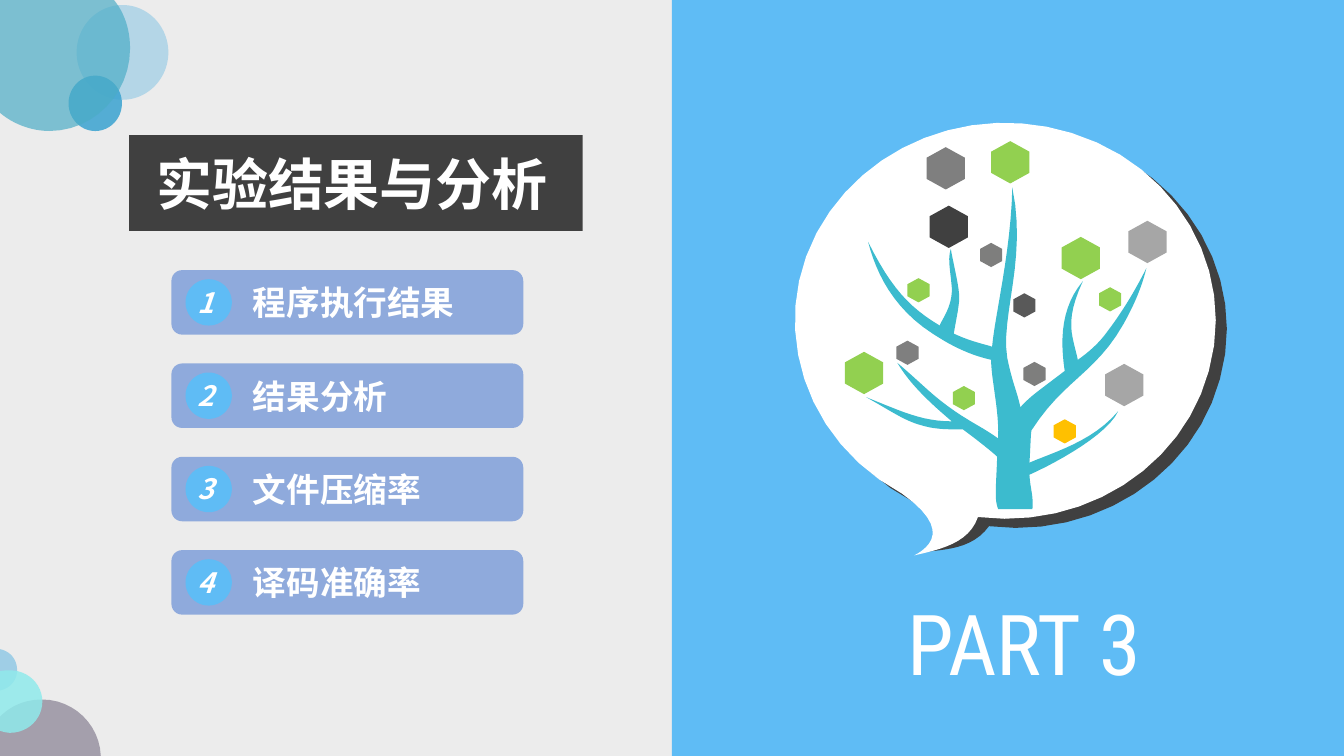
import lxml.etree
import pptx
import pptx.dml.color
import pptx.enum.shapes
import pptx.enum.text
import pptx.oxml.ns
import pptx.util

COLS, ROWS = 13.33, 7.5
WIDTH, HEIGHT = pptx.util.Inches(COLS), pptx.util.Inches(ROWS)
SHAPE = pptx.enum.shapes.MSO_SHAPE
ALIGN = pptx.enum.text.PP_ALIGN
CJK, LATIN = "Noto Sans CJK SC", "Roboto Condensed"
WHITE, DARK, SKY, GREEN, GREY = "FFFFFF", "404040", "5FBCF5", "92D050", "7F7F7F"
CURVE_STEPS = 12

TITLE = {"size": 40, "name": CJK, "bold": True}
PART = {"size": 60, "name": LATIN}
NUMBER = {"size": 20, "name": CJK, "bold": True, "italic": True}
LABEL = {"size": 24, "name": CJK, "bold": True}

TOPICS = ["程序执行结果", "结果分析", "文件压缩率", "译码准确率"]
TOPIC_TOP, TOPIC_PITCH = 2.68, 0.926

TOP_CIRCLE = [(0, 0), (1.13, 0), (1.23, 0.12, 1.29, 0.29, 1.29, 0.48),
              (1.29, 0.93, 0.93, 1.3, 0.49, 1.3), (0.31, 1.3, 0.13, 1.23, 0, 1.12)]
SMALL_CIRCLE = [(0, 6.44), (0.1, 6.46, 0.17, 6.54, 0.17, 6.65),
                (0.17, 6.75, 0.1, 6.83, 0, 6.85)]
PLUM_CIRCLE = [(0.42, 6.94), (0.73, 6.94, 0.99, 7.19, 1, 7.5), (0, 7.5), (0, 7.11),
               (0.11, 7, 0.25, 6.94, 0.42, 6.94)]
MINT_CIRCLE = [(0.1, 6.65), (0.28, 6.65, 0.42, 6.79, 0.42, 6.96),
               (0.42, 7.13, 0.28, 7.27, 0.1, 7.27), (0.07, 7.27, 0.03, 7.26, 0, 7.25),
               (0, 6.66), (0.03, 6.65, 0.07, 6.65, 0.1, 6.65)]
BUBBLE_SHADE = [(9.13, 5.48), (9.27, 5.41, 9.55, 5.34, 9.06, 4.98),
                (8.09, 4.47, 7.72, 3.33, 8.21, 2.39), (8.68, 1.52, 9.75, 1.1, 10.74, 1.4),
                (11.78, 1.73, 12.38, 2.76, 12.1, 3.76), (11.84, 4.72, 10.86, 5.35, 9.81, 5.22),
                (9.64, 5.45, 9.38, 5.45, 9.13, 5.48)]
BUBBLE = [(9.07, 5.51), (9.22, 5.43, 9.44, 5.25, 8.95, 4.9),
          (7.98, 4.38, 7.61, 3.24, 8.1, 2.31), (8.57, 1.43, 9.64, 1.01, 10.63, 1.32),
          (11.67, 1.64, 12.27, 2.67, 11.99, 3.68), (11.73, 4.64, 10.75, 5.26, 9.7, 5.13),
          (9.61, 5.39, 9.33, 5.45, 9.07, 5.51)]
TREE = [(10.24, 5.05), (9.9, 5.05), (9.86, 4.95, 9.88, 4.84, 9.89, 4.53),
        (9.79, 4.44, 9.67, 4.35, 9.55, 4.26), (9.41, 4.26, 9.33, 4.26, 9.22, 4.24),
        (8.99, 4.19, 8.91, 4.12, 8.59, 3.94), (8.94, 4.08, 9.14, 4.18, 9.44, 4.18),
        (9.24, 4.01, 9.03, 3.82, 8.9, 3.6), (9.21, 3.86, 9.29, 3.99, 9.73, 4.24),
        (9.78, 4.27, 9.83, 4.3, 9.9, 4.35), (9.9, 4.34), (9.91, 4.07, 9.83, 3.76, 9.83, 3.57),
        (9.57, 3.51, 9.39, 3.4, 9.25, 3.31), (8.86, 3.06, 8.69, 2.71, 8.61, 2.4),
        (8.84, 2.86, 9.02, 3.05, 9.32, 3.23), (9.34, 3.17, 9.45, 3.04, 9.44, 2.85),
        (9.42, 2.64, 9.4, 2.57, 9.43, 2.47), (9.47, 2.69, 9.53, 2.9, 9.51, 3.01),
        (9.5, 3.1, 9.49, 3.13, 9.46, 3.31), (9.63, 3.39, 9.75, 3.41, 9.84, 3.44),
        (9.86, 3.17, 10.03, 2.48, 10.04, 1.86), (10.19, 2.57, 9.92, 3.14, 9.99, 3.55),
        (10.04, 3.8, 10.09, 3.89, 10.12, 4.04), (10.23, 3.92, 10.3, 3.88, 10.56, 3.68),
        (10.51, 3.35, 10.53, 3.04, 10.74, 2.79), (10.55, 3.2, 10.64, 3.33, 10.69, 3.57),
        (10.83, 3.47, 10.91, 3.39, 10.99, 3.28), (11.08, 3.16, 11.22, 2.96, 11.37, 2.66),
        (11.32, 2.87, 11.23, 3.06, 11.14, 3.22), (10.86, 3.71, 10.55, 3.77, 10.23, 4.27),
        (10.22, 4.34, 10.22, 4.46, 10.21, 4.59), (10.44, 4.49, 10.84, 4.38, 11.09, 4.08),
        (10.99, 4.3, 10.52, 4.57, 10.21, 4.71), (10.22, 4.86, 10.25, 4.91, 10.24, 5.05)]

BIG_LEAF, SMALL_LEAF = (0.19, 0.21), (0.11, 0.12)
LEAVES = {
    BIG_LEAF: [(10.02, 1.61, GREEN), (11.38, 2.4, "A6A6A6"), (11.15, 3.82, "A6A6A6"),
               (9.41, 2.25, DARK), (8.57, 3.7, GREEN), (9.38, 1.67, GREY),
               (10.72, 2.56, GREEN)],
    SMALL_LEAF: [(10.56, 4.28, "FFC000"), (9.11, 2.88, GREEN), (9.83, 2.53, "7E7E7D"),
                 (10.26, 3.71, "7E7E7D"), (9, 3.5, GREY), (11.01, 2.97, GREEN),
                 (9.56, 3.95, GREEN), (10.16, 3.03, "595959")],
}


def col(n):
    return round(WIDTH * n / COLS)


def row(n):
    return round(HEIGHT * n / ROWS)


def rgb(value):
    return pptx.dml.color.RGBColor.from_string(value)


def paint(sp, colour, opacity=100):
    sp.shadow.inherit = False
    sp.fill.solid()
    sp.fill.fore_color.rgb = rgb(colour)
    sp.line.fill.background()
    if opacity < 100:
        qn = pptx.oxml.ns.qn
        clr = next(sp._element.spPr.iter(qn("a:srgbClr")))
        lxml.etree.SubElement(clr, qn("a:alpha")).set("val", str(opacity * 1000))


def add_preset(s, kind, x, y, w, h, colour, opacity=100):
    sp = s.shapes.add_shape(kind, col(x), row(y), col(w), row(h))
    paint(sp, colour, opacity)


def curve_points(start, segment):
    x1, y1, x2, y2, x3, y3 = segment
    for i in range(1, CURVE_STEPS + 1):
        t = i / CURVE_STEPS
        u = 1 - t
        weights = (u ** 3, 3 * u * u * t, 3 * u * t * t, t ** 3)
        yield (sum(w * x for w, x in zip(weights, (start[0], x1, x2, x3))),
               sum(w * y for w, y in zip(weights, (start[1], y1, y2, y3))))


def add_outline(s, segments, colour, opacity=100):
    points = [segments[0]]
    for segment in segments[1:]:
        points.extend([segment] if len(segment) == 2 else curve_points(points[-1], segment))
    points = [(col(x), row(y)) for x, y in points]
    builder = s.shapes.build_freeform(*points[0])
    builder.add_line_segments(points[1:], close=True)
    paint(builder.convert_to_shape(), colour, opacity)


def add_leaf(s, x, y, size, colour):
    dx, dy = size
    add_outline(s, [(x, y - dy), (x + dx, y - dy / 2), (x + dx, y + dy / 2),
                    (x, y + dy), (x - dx, y + dy / 2), (x - dx, y - dy / 2)], colour)


def add_text(s, text, x, y, w, h, style, align=ALIGN.LEFT):
    tf = s.shapes.add_textbox(col(x), row(y), col(w), row(h)).text_frame
    tf.word_wrap = True
    tf.auto_size = pptx.enum.text.MSO_AUTO_SIZE.SHAPE_TO_FIT_TEXT
    p = tf.paragraphs[0]
    p.alignment = align
    r = p.add_run()
    r.text = text
    for name, value in style.items():
        setattr(r.font, name, pptx.util.Pt(value) if name == "size" else value)
    r.font.color.rgb = rgb(WHITE)
    qn = pptx.oxml.ns.qn
    lxml.etree.SubElement(r._r.get_or_add_rPr(), qn("a:ea")).set("typeface", style["name"])


def add_topic(s, index, text):
    y = TOPIC_TOP + index * TOPIC_PITCH
    add_preset(s, SHAPE.ROUNDED_RECTANGLE, 1.7, y, 3.49, 0.64, "8FAADC")
    add_preset(s, SHAPE.OVAL, 1.84, y + 0.09, 0.46, 0.46, SKY)
    add_text(s, str(index + 1), 1.86, y + 0.1, 0.33, 0.44, NUMBER)
    add_text(s, text, 2.41, y + 0.07, 2.49, 0.5, LABEL, ALIGN.JUSTIFY)


def main():
    prs = pptx.Presentation()
    prs.slide_width, prs.slide_height = WIDTH, HEIGHT
    s = prs.slides.add_slide(prs.slide_layouts[6])
    s.background.fill.solid()
    s.background.fill.fore_color.rgb = rgb("ECECEC")

    add_preset(s, SHAPE.OVAL, 0.76, 0.05, 0.91, 0.94, "9FCEE6", 72)
    add_preset(s, SHAPE.OVAL, 0.68, 0.75, 0.53, 0.55, "3AA3D0", 85)
    add_outline(s, TOP_CIRCLE, "4BACC6", 69)
    add_outline(s, SMALL_CIRCLE, "9FCEE6")
    add_outline(s, PLUM_CIRCLE, "3F3151", 41)
    add_outline(s, MINT_CIRCLE, "90EAEB", 85)

    add_preset(s, SHAPE.RECTANGLE, COLS / 2, 0, COLS / 2, ROWS, SKY)
    add_outline(s, BUBBLE_SHADE, DARK)
    add_outline(s, BUBBLE, WHITE)
    add_preset(s, SHAPE.RECTANGLE, 1.28, 1.34, 4.5, 0.95, DARK)
    add_text(s, "实验结果与分析", 1.45, 1.43, 4.41, 0.77, TITLE)
    add_text(s, "PART 3", 8.9, 5.82, 2.94, 1.11, PART)

    add_outline(s, TREE, "3CBBCE")
    for size, leaves in LEAVES.items():
        for x, y, colour in leaves:
            add_leaf(s, x, y, size, colour)
    for index, text in enumerate(TOPICS):
        add_topic(s, index, text)
    prs.save("out.pptx")


if __name__ == "__main__":
    main()
